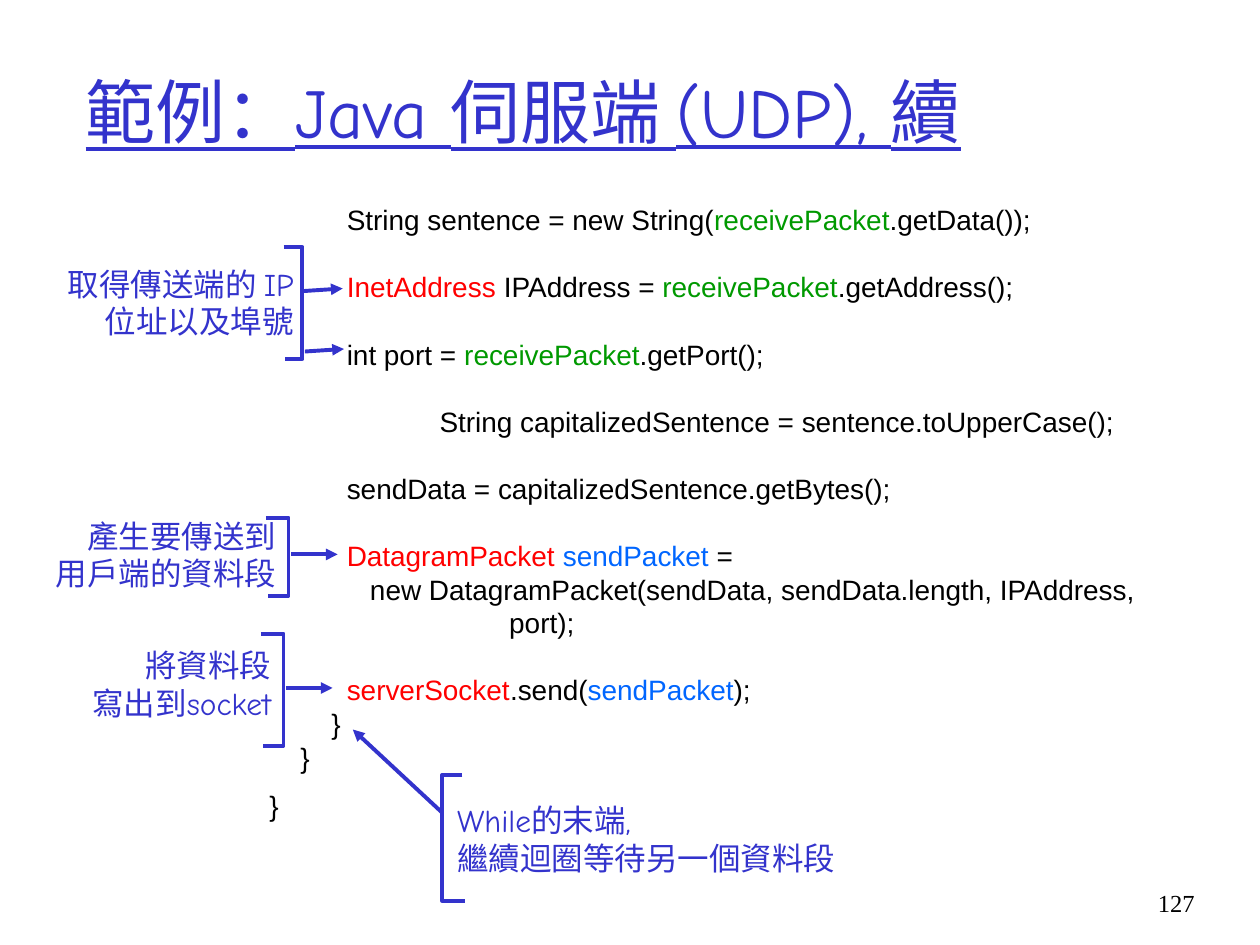
from lxml import etree
from pptx import Presentation
from pptx.dml.color import RGBColor
from pptx.enum.shapes import MSO_CONNECTOR as Connector
from pptx.enum.text import MSO_ANCHOR as Anchor, MSO_AUTO_SIZE as AutoSize, PP_ALIGN as Align
from pptx.oxml.ns import qn
from pptx.util import Inches, Pt

COLORS = {"blue": "3333CC", "black": "000000", "green": "009900",
          "red": "FF0000", "sky": "0066FF"}
COMIC = {"name": "Comic Neue", "size": Pt(18)}
TITLE = {"name": "Comic Neue", "size": Pt(40), "underline": True, "bold": False}
CODE = {"name": "Arial", "size": Pt(16)}
NUMBER = {"name": "Times New Roman", "size": Pt(14)}
CODE_LINE = 19.2

# Code lines: space before in points, then the coloured runs
CODE_LINES = [
    (0, [("          String sentence = new String(", "black"),
         ("receivePacket", "green"), (".getData());", "black")]),
    (CODE_LINE, [("          InetAddress", "red"), (" IPAddress =", "black"),
                 (" receivePacket", "green"), (".getAddress();", "black")]),
    (CODE_LINE, [("          int port =", "black"), (" receivePacket", "green"),
                 (".getPort();", "black")]),
    (CODE_LINE, [("                      String capitalizedSentence = "
                  "sentence.toUpperCase();", "black")]),
    (CODE_LINE, [("          sendData = capitalizedSentence.getBytes();", "black")]),
    (CODE_LINE, [("          DatagramPacket ", "red"), ("sendPacket ", "sky"),
                 ("=", "black")]),
    (0, [("             new DatagramPacket(sendData, sendData.length, IPAddress,",
          "black")]),
    (0, [("                               port);", "black")]),
    (CODE_LINE, [("          serverSocket", "red"), (".send(", "black"),
                 ("sendPacket", "sky"), (");", "black")]),
    (0, [("        }", "black")]),
    (0, [("    }", "black")]),
    (8.4, [("}", "black")]),
]

# Side notes: box, alignment, wrap, lines
NOTES = [
    ((0.14, 2.05, 2.29, 0.7), Align.RIGHT, True, ["取得傳送端的 IP 位址以及埠號"]),
    ((0.34, 4.05, 1.95, 0.7), Align.RIGHT, False, ["產生要傳送到", "用戶端的資料段"]),
    ((0.57, 5.08, 1.68, 0.7), Align.RIGHT, False, ["將資料段", "寫出到socket"]),
    ((3.53, 6.31, 3.2, 0.7), Align.LEFT, False,
     ["While的末端,", "繼續迴圈等待另一個資料段"]),
]

# Brackets: spine x, top y, bottom y, x of the upper and lower tips
BRACKETS = [
    (2.4, 1.96, 2.85, 2.25, 2.26),
    (2.29, 4.11, 4.73, 2.11, 2.13),
    (2.25, 5.03, 5.92, 2.07, 2.09),
    (3.51, 6.15, 7.15, 3.67, 3.69),
]

# Arrows: start and end points
ARROWS = [
    (2.41, 2.31, 2.72, 2.29),
    (2.42, 2.79, 2.73, 2.77),
    (2.31, 4.4, 2.68, 4.4),
    (2.27, 5.46, 2.64, 5.46),
    (3.51, 6.45, 2.8, 5.79),
]


class SlideBuilder:
    def __init__(self, slide):
        self.slide = slide

    def color(self, name):
        return RGBColor.from_string(COLORS[name])

    def add_run(self, paragraph, text, style, color):
        run = paragraph.add_run()
        run.text = text
        for key, value in style.items():
            setattr(run.font, key, value)
        run.font.color.rgb = self.color(color)

    def set_frame(self, shape, anchor, wrap=True):
        frame = shape.text_frame
        settings = {"word_wrap": wrap, "vertical_anchor": anchor,
                    "auto_size": AutoSize.NONE}
        for key, value in settings.items():
            setattr(frame, key, value)
        return frame

    def title(self, box, text):
        shape = self.slide.shapes.title
        for key, value in zip(("left", "top", "width", "height"), box):
            setattr(shape, key, Inches(value))
        paragraph = self.set_frame(shape, Anchor.MIDDLE).paragraphs[0]
        paragraph.alignment = Align.LEFT
        self.add_run(paragraph, text, TITLE, "blue")

    def text(self, box, lines, style, align=Align.LEFT, anchor=Anchor.TOP,
             wrap=True, line_spacing=None):
        """Each line is a space before in points and its coloured runs."""
        shape = self.slide.shapes.add_textbox(*map(Inches, box))
        frame = self.set_frame(shape, anchor, wrap)
        for index, (gap, runs) in enumerate(lines):
            paragraph = frame.add_paragraph() if index else frame.paragraphs[0]
            paragraph.alignment = align
            paragraph.line_spacing = line_spacing
            if gap:
                paragraph.space_before = Pt(gap)
            for text, color in runs:
                self.add_run(paragraph, text, style, color)

    def stroke(self, shape):
        shape.line.color.rgb = self.color("blue")
        shape.line.width = Pt(2.25)

    def bracket(self, spine, top, bottom, upper_tip, lower_tip):
        builder = self.slide.shapes.build_freeform(
            Inches(upper_tip), Inches(top), scale=1.0)
        points = [(spine, top), (spine, bottom), (lower_tip, bottom)]
        builder.add_line_segments(
            [(Inches(x), Inches(y)) for x, y in points], close=False)
        shape = builder.convert_to_shape()
        shape.shadow.inherit = False
        shape.fill.background()
        self.stroke(shape)

    def arrow(self, *ends):
        connector = self.slide.shapes.add_connector(
            Connector.STRAIGHT, *map(Inches, ends))
        self.stroke(connector)
        etree.SubElement(connector.line._get_or_add_ln(), qn("a:tailEnd"),
                         type="triangle")
        etree.SubElement(connector._element.spPr, qn("a:effectLst"))


def main():
    presentation = Presentation()
    presentation.slide_width, presentation.slide_height = Inches(10), Inches(7.5)
    layout = presentation.slide_layouts.get_by_name("Title Only")
    builder = SlideBuilder(presentation.slides.add_slide(layout))

    # Title and code listing
    builder.title((0.58, 0.25, 8.5, 1.25), "範例：Java 伺服端 (UDP), 續")
    builder.text((2.04, 1.56, 7.15, 5.03), CODE_LINES, CODE,
                 line_spacing=Pt(CODE_LINE))

    # Notes with their brackets and arrows
    for box, align, wrap, lines in NOTES:
        builder.text(box, [(0, [(line, "blue")]) for line in lines], COMIC,
                     align, Anchor.MIDDLE, wrap)
    for bracket in BRACKETS:
        builder.bracket(*bracket)
    for arrow in ARROWS:
        builder.arrow(*arrow)

    # Page number
    builder.text((9.08, 7, 0.5, 0.5), [(0, [("127", "black")])], NUMBER, Align.RIGHT)

    presentation.save("out.pptx")


if __name__ == "__main__":
    main()
